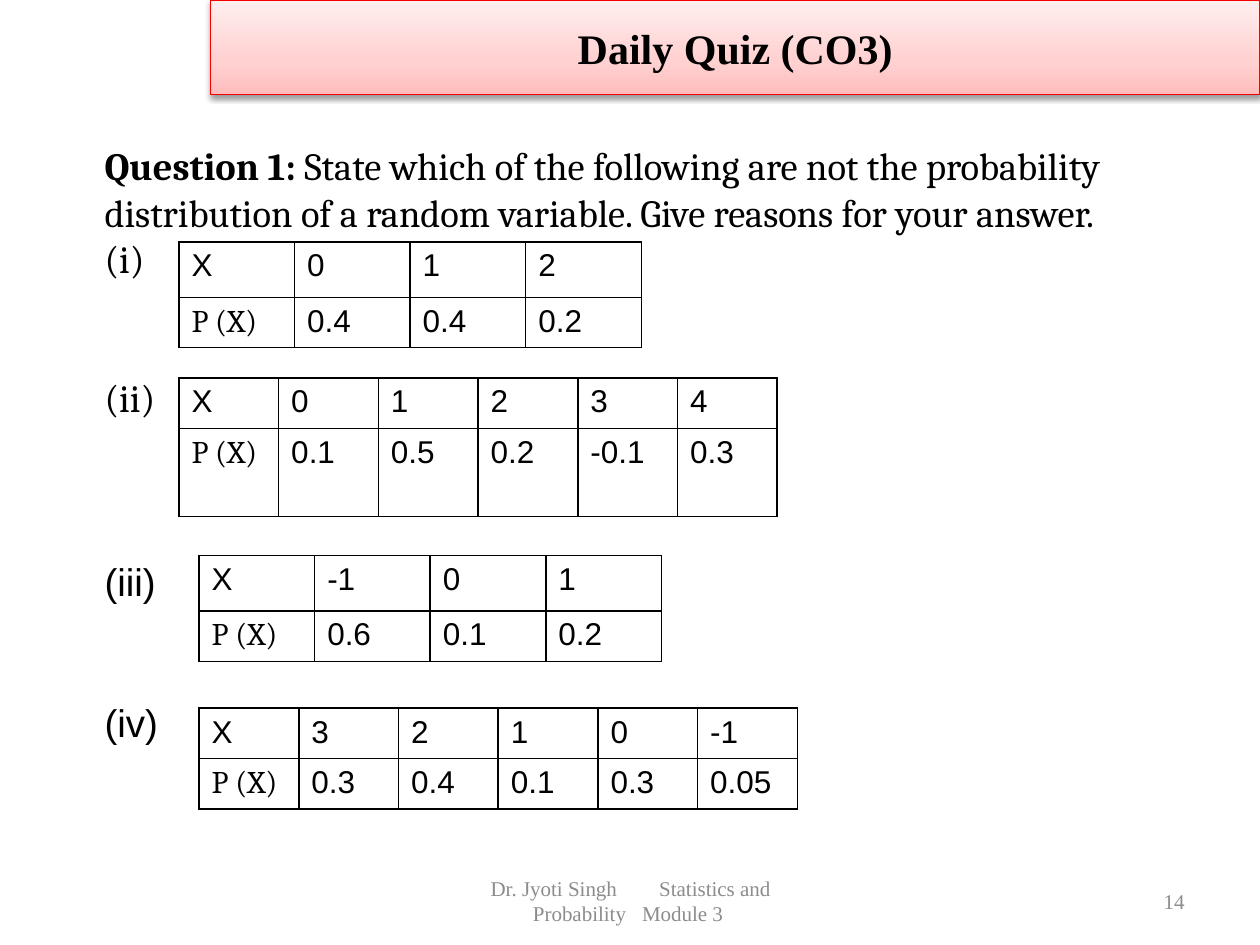
from pptx import Presentation
from pptx.dml.color import RGBColor
from pptx.enum.text import MSO_ANCHOR, MSO_AUTO_SIZE, PP_ALIGN
from pptx.oxml import parse_xml
from pptx.oxml.ns import nsdecls
from pptx.util import Inches, Pt

BLACK = RGBColor(0x00, 0x00, 0x00)
GREY = RGBColor(0x8C, 0x8C, 0x8C)
RED = RGBColor(0xF9, 0x00, 0x00)
BANNER_STOPS = [(0, RGBColor(0xFF, 0xBD, 0xBD)),
                (35, RGBColor(0xFF, 0xD1, 0xD1)),
                (100, RGBColor(0xFF, 0xEE, 0xEE))]


def add_span(para, text, size, font, color=BLACK, bold=False):
    span = para.add_run()
    span.text = text
    span.font.size = Pt(size)
    span.font.name = font
    span.font.color.rgb = color
    span.font.bold = bold
    return span


def add_footer_para(left, width, align):
    """Add a vertically centred box on the footer line and return its paragraph."""
    box = page.shapes.add_textbox(Inches(left), Inches(6.95), Inches(width), Inches(0.4))
    box.text_frame.word_wrap = True
    box.text_frame.vertical_anchor = MSO_ANCHOR.MIDDLE
    para = box.text_frame.paragraphs[0]
    para.alignment = align
    return para


deck = Presentation()
deck.slide_width, deck.slide_height = Inches(10), Inches(7.5)
page = deck.slides.add_slide(deck.slide_layouts[1])

# Title banner
title = page.shapes.title
title.left, title.top = Inches(1.67), Inches(0)
title.width, title.height = Inches(8.33), Inches(0.75)
stops = "".join(f'<a:gs pos="{pos * 1000}"><a:srgbClr val="{color}"/></a:gs>'
                for pos, color in BANNER_STOPS)
banner = title.element.spPr
banner.append(parse_xml(
    f'<a:gradFill {nsdecls("a")} rotWithShape="1"><a:gsLst>{stops}</a:gsLst>'
    '<a:lin ang="16200000" scaled="0"/></a:gradFill>'))
title.line.color.rgb = RED
title.line.width = Pt(0.75)
banner.append(parse_xml(
    f'<a:effectLst {nsdecls("a")}><a:outerShdw blurRad="{Pt(3.1)}" dist="{Pt(1.6)}" '
    'dir="5400000" rotWithShape="0"><a:srgbClr val="000000"><a:alpha val="38000"/>'
    '</a:srgbClr></a:outerShdw></a:effectLst>'))
title.text_frame.auto_size = MSO_AUTO_SIZE.NONE
title.text_frame.vertical_anchor = MSO_ANCHOR.MIDDLE
para = title.text_frame.paragraphs[0]
para.alignment = PP_ALIGN.CENTER
add_span(para, "Daily Quiz (CO3)", 24, "Times New Roman", bold=True)

# Question and part labels: space before, then (text, font, bold) runs
question = [
    (0, [("Question 1: ", "Cambria", True),
         ("State which of the following are not the probability distribution of a "
          "random variable. Give reasons for your answer.", "Cambria", False)]),
    (0, [("(i)", "Cambria", False)]),
    (53, [("(ii)", "Cambria", False)]),
    (79, [("(iii)", "Arial", False)]),
    (54, [("(iv)", "Arial", False)]),
]
body = page.placeholders[1]
body.left, body.top = Inches(0.73), Inches(1.08)
body.width, body.height = Inches(8.54), Inches(4.91)
frame = body.text_frame
frame.auto_size = MSO_AUTO_SIZE.NONE
for index, (gap, spans) in enumerate(question):
    para = frame.add_paragraph() if index else frame.paragraphs[0]
    para.space_before = Pt(gap)
    settings = para._p.get_or_add_pPr()
    settings.set("marL", "0")
    settings.set("indent", "0")
    settings.append(parse_xml(f'<a:buNone {nsdecls("a")}/>'))
    for text, font, bold in spans:
        add_span(para, text, 22, font, bold=bold)

# Distribution tables: left, top, width, row heights, X values, P(X) values
distributions = [
    (1.42, 1.92, 3.67, (0.44, 0.4), "0 1 2", "0.4 0.4 0.2"),
    (1.42, 3, 4.75, (0.4, 0.7), "0 1 2 3 4", "0.1 0.5 0.2 -0.1 0.3"),
    (1.58, 4.41, 3.67, (0.44, 0.4), "-1 0 1", "0.6 0.1 0.2"),
    (1.58, 5.62, 4.75, (0.4, 0.4), "3 2 1 0 -1", "0.3 0.4 0.1 0.3 0.05"),
]
for left, top, width, heights, outcomes, chances in distributions:
    rows = [["X"] + outcomes.split(), ["P (X)"] + chances.split()]
    table = page.shapes.add_table(2, len(rows[0]), Inches(left), Inches(top),
                                  Inches(width), Inches(sum(heights))).table
    table.first_row = table.horz_banding = False
    for r, values in enumerate(rows):
        table.rows[r].height = Inches(heights[r])
        for c, value in enumerate(values):
            cell = table.cell(r, c)
            borders = cell._tc.get_or_add_tcPr()
            for side in ("lnL", "lnR", "lnT", "lnB"):
                borders.append(parse_xml(
                    f'<a:{side} {nsdecls("a")} w="{Pt(1)}"><a:solidFill>'
                    f'<a:srgbClr val="{BLACK}"/></a:solidFill></a:{side}>'))
            cell.fill.background()
            font = "Cambria" if value == "P (X)" else "Arial"
            add_span(cell.text_frame.paragraphs[0], value, 18, font)

# Footer: letter spacing in points widens the spaces between its parts
para = add_footer_para(3.42, 3.17, PP_ALIGN.CENTER)
for text, spacing in [("Dr. Jyoti Singh", 0), (" ", 21), ("Statistics and Probability", 0),
                      (" ", 6), ("Module 3 ", 0)]:
    span = add_span(para, text, 12, "Times New Roman", GREY)
    if spacing:
        span._r.get_or_add_rPr().set("spc", str(spacing * 100))

para = add_footer_para(7.17, 2.33, PP_ALIGN.RIGHT)
add_span(para, "14", 12, "Times New Roman", GREY)

deck.save("out.pptx")
